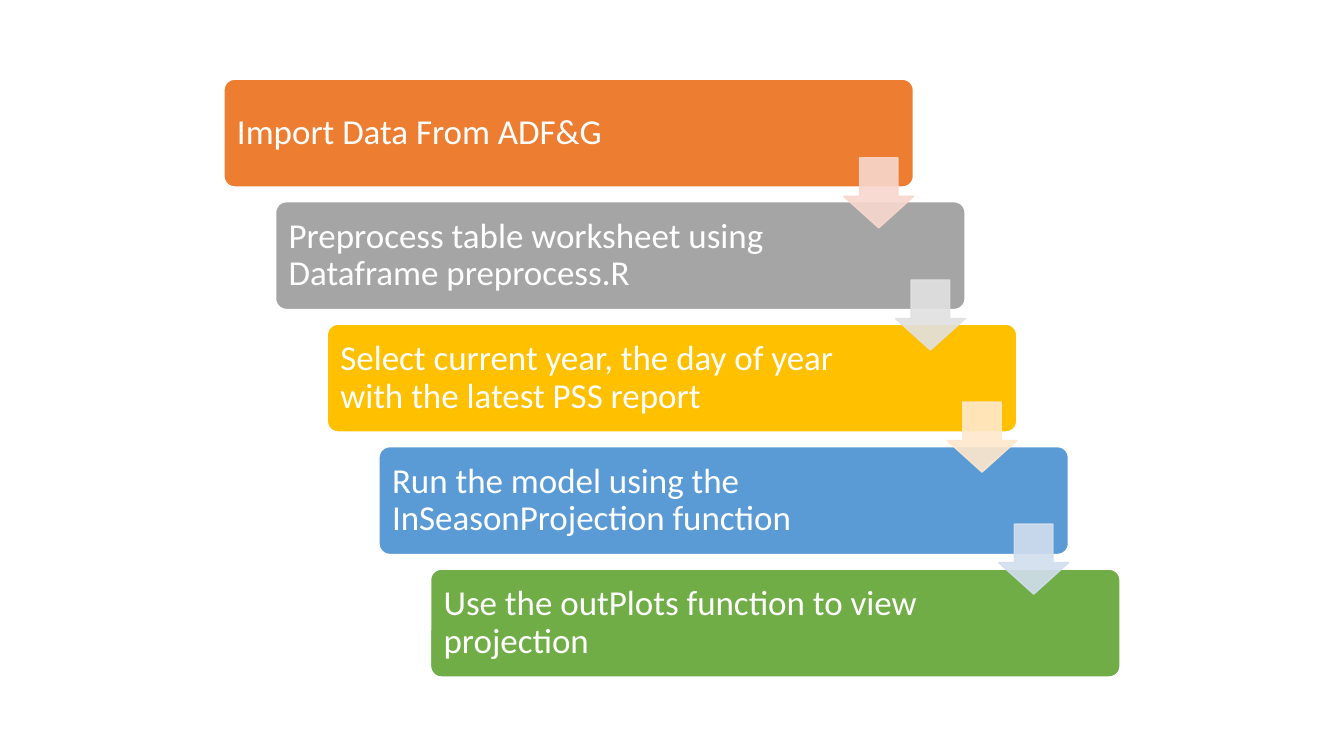
from dataclasses import dataclass

from lxml.etree import SubElement
from pptx import Presentation
from pptx.dml.color import RGBColor
from pptx.enum.shapes import MSO_SHAPE
from pptx.enum.text import MSO_ANCHOR, PP_ALIGN
from pptx.oxml.ns import qn
from pptx.util import Pt


@dataclass(frozen=True)
class Theme:
    font: str = "Calibri"
    size: float = 25
    white: str = "FFFFFF"
    bars: tuple = ("ED7D31", "A5A5A5", "FFC000", "5B9BD5", "70AD47")
    arrows: tuple = ("F8D7CE", "E1E1E1", "FFE8CC", "D2DEEF")
    alpha: int = 90


STEPS = (
    "Import Data From ADF&G",
    "Preprocess table worksheet using Dataframe preprocess.R",
    "Select current year, the day of year with the latest PSS report",
    "Run the model using the InSeasonProjection function",
    "Use the outPlots function to view projection",
)
LEFT, TOP = 160, 56.6
WIDTH, HEIGHT = 492.5, 77
SHIFT, DROP = 36.9, 87.5
ARROW_LEFT, ARROW_TOP, ARROW_SIZE = 602.7, 112.8, 50
ARROW_DROP = 87.2


class Painter:
    """Draws on one slide in one theme; lengths are in points."""

    def __init__(self, slide, theme):
        self.slide = slide
        self.theme = theme

    def shape(self, kind, box, fill, line, adjust):
        shape = self.slide.shapes.add_shape(kind, *map(Pt, box))
        shape.shadow.inherit = False
        for index, value in enumerate(adjust):
            shape.adjustments[index] = value
        shape.fill.solid()
        shape.fill.fore_color.rgb = RGBColor.from_string(fill)
        shape.line.color.rgb = RGBColor.from_string(line)
        shape.line.width = Pt(1)
        return shape

    def bar(self, box, text, fill):
        theme = self.theme
        shape = self.shape(MSO_SHAPE.ROUNDED_RECTANGLE, box, fill,
                           theme.white, [0.1])
        frame = shape.text_frame
        frame.word_wrap = True
        frame.vertical_anchor = MSO_ANCHOR.MIDDLE
        frame.margin_left = frame.margin_top = frame.margin_bottom = Pt(7.2)
        frame.margin_right = Pt(94)
        frame.text = text
        para = frame.paragraphs[0]
        para.alignment = PP_ALIGN.LEFT
        para.line_spacing = 0.9
        font = para.runs[0].font
        font.name = theme.font
        font.size = Pt(theme.size)
        font.color.rgb = RGBColor.from_string(theme.white)

    def arrow(self, box, color):
        shape = self.shape(MSO_SHAPE.DOWN_ARROW, box, color, color,
                           [0.55, 0.45])
        for tint in shape.element.spPr.iter(qn("a:srgbClr")):
            SubElement(tint, qn("a:alpha"), val=str(self.theme.alpha * 1000))


def main():
    deck = Presentation()
    deck.slide_width, deck.slide_height = Pt(960), Pt(540)
    theme = Theme()
    painter = Painter(deck.slides.add_slide(deck.slide_layouts[6]), theme)
    for row, (text, fill) in enumerate(zip(STEPS, theme.bars)):
        box = (LEFT + row * SHIFT, TOP + row * DROP, WIDTH, HEIGHT)
        painter.bar(box, text, fill)
    for row, color in enumerate(theme.arrows):
        box = (ARROW_LEFT + row * SHIFT, ARROW_TOP + row * ARROW_DROP,
               ARROW_SIZE, ARROW_SIZE)
        painter.arrow(box, color)
    deck.save("out.pptx")


if __name__ == "__main__":
    main()
